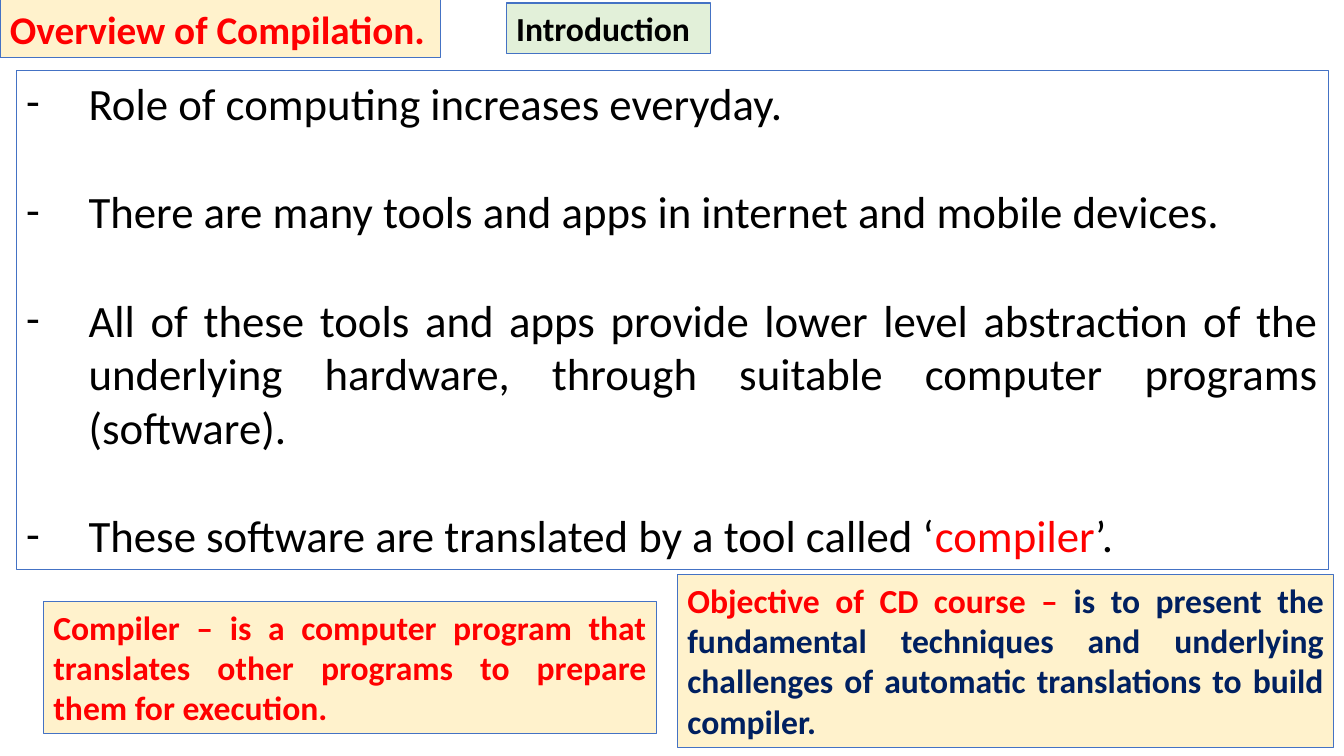
from dataclasses import dataclass

from lxml import etree
from pptx import Presentation
from pptx.dml.color import RGBColor
from pptx.enum.shapes import MSO_SHAPE
from pptx.enum.text import MSO_ANCHOR, PP_ALIGN
from pptx.oxml.ns import qn
from pptx.util import Inches, Pt

RECTANGLE = MSO_SHAPE.RECTANGLE
TOP = MSO_ANCHOR.TOP
LEFT, JUSTIFY = PP_ALIGN.LEFT, PP_ALIGN.JUSTIFY
BLANK_LAYOUT = 6


@dataclass(frozen=True)
class Theme:
    font: str = "Calibri"
    black: str = "000000"
    red: str = "FF0000"
    navy: str = "002060"
    cream: str = "FFF2CC"
    green: str = "E2F0D9"
    border: str = "4472C4"
    border_width: float = 0.75
    title_size: int = 28
    body_size: int = 32
    note_size: int = 24
    bullet_gap: int = 39
    bullet_indent: float = 0.62


THEME = Theme()


def write_text(paragraph, text, *, size, color, bold=False):
    run = paragraph.add_run()
    run.text = text
    run.font.name = THEME.font
    run.font.size = Pt(size)
    run.font.bold = bold
    run.font.color.rgb = RGBColor.from_string(color)


def add_dash(paragraph):
    """Give the paragraph a hanging indent with a dash bullet."""
    properties = paragraph._p.get_or_add_pPr()
    indent = Inches(THEME.bullet_indent)
    properties.set("marL", str(indent))
    properties.set("indent", str(-indent))
    etree.SubElement(properties, qn("a:buFont")).set("typeface", THEME.font)
    etree.SubElement(properties, qn("a:buChar")).set("char", "-")


class SlideBuilder:
    """Draws on one slide; boxes are (left, top, width, height) in percent of the slide."""

    def __init__(self, presentation, theme):
        self.theme = theme
        self.width = presentation.slide_width
        self.height = presentation.slide_height
        self.slide = presentation.slides.add_slide(presentation.slide_layouts[BLANK_LAYOUT])

    def panel(self, box, fill=None, wrap=True):
        """Add a bordered rectangle and return its text frame."""
        left, top, width, height = box
        shape = self.slide.shapes.add_shape(
            RECTANGLE,
            round(self.width * left / 100), round(self.height * top / 100),
            round(self.width * width / 100), round(self.height * height / 100))
        shape.shadow.inherit = False
        if fill:
            shape.fill.solid()
            shape.fill.fore_color.rgb = RGBColor.from_string(fill)
        else:
            shape.fill.background()
        shape.line.color.rgb = RGBColor.from_string(self.theme.border)
        shape.line.width = Pt(self.theme.border_width)
        frame = shape.text_frame
        frame.word_wrap = wrap
        frame.vertical_anchor = TOP
        return frame

    def label(self, box, runs, *, fill, size, align=LEFT, wrap=True):
        """Add a filled panel with one bold paragraph of (text, color) runs."""
        paragraph = self.panel(box, fill, wrap).paragraphs[0]
        paragraph.alignment = align
        for text, color in runs:
            write_text(paragraph, text, size=size, color=color, bold=True)

    def bullet_list(self, box, items):
        """Add a panel with one dashed paragraph for each list of (text, color) runs."""
        frame = self.panel(box)
        for index, runs in enumerate(items):
            paragraph = frame.add_paragraph() if index else frame.paragraphs[0]
            paragraph.alignment = JUSTIFY
            if index:
                paragraph.space_before = Pt(self.theme.bullet_gap)
            add_dash(paragraph)
            for text, color in runs:
                write_text(paragraph, text, size=self.theme.body_size, color=color)


def main():
    presentation = Presentation()
    presentation.slide_width = Inches(13.33)
    presentation.slide_height = Inches(7.5)
    builder = SlideBuilder(presentation, THEME)
    black, red, navy = THEME.black, THEME.red, THEME.navy

    builder.label((0, 0, 32.78, 7.6), [("Overview of Compilation.", red)],
                  fill=THEME.cream, size=THEME.title_size, wrap=False)
    builder.bullet_list((1.2, 9.33, 97.67, 66), [
        [("Role of computing increases everyday.", black)],
        [("There are many tools and apps in internet and mobile devices.", black)],
        [("All of these tools and apps provide lower level abstraction of the "
          "underlying hardware, through suitable computer programs (software).", black)],
        [("These software are translated by a tool called ‘", black),
         ("compiler", red), ("’.", black)],
    ])
    builder.label((3.23, 79.6, 45.61, 17.47), [
        ("Compiler – is a computer program that translates other programs "
         "to prepare them for execution.", red),
    ], fill=THEME.cream, size=THEME.note_size, align=JUSTIFY)
    builder.label((50.41, 76, 48.84, 22.93), [
        ("Objective of CD course – ", red),
        ("is to present the fundamental techniques and underlying challenges "
         "of automatic translations to build compiler.", navy),
    ], fill=THEME.cream, size=THEME.note_size, align=JUSTIFY)
    builder.label((37.66, 0.4, 15.23, 6.67), [("Introduction", black)],
                  fill=THEME.green, size=THEME.note_size)

    presentation.save("out.pptx")


if __name__ == "__main__":
    main()
